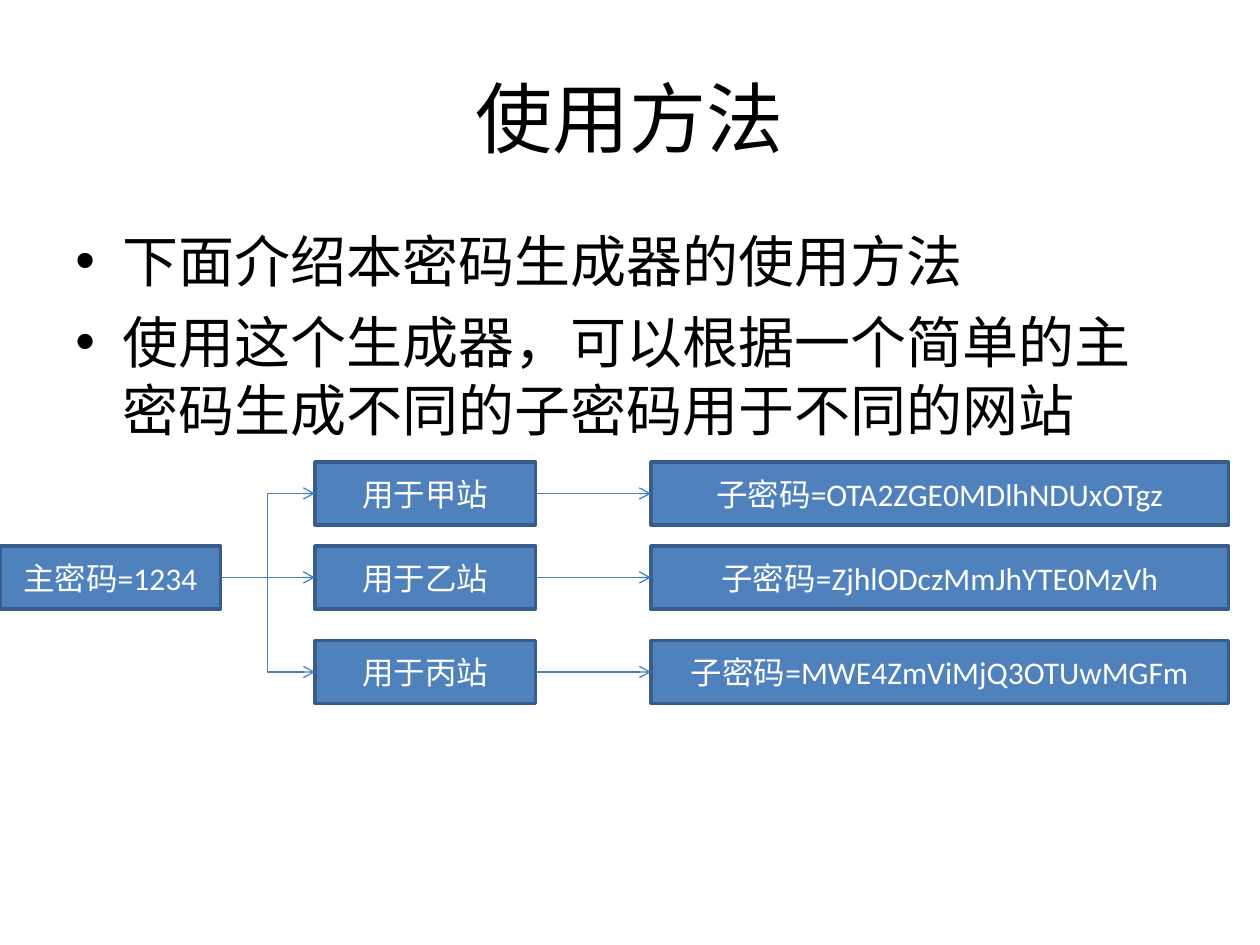
from lxml.etree import SubElement
from pptx import Presentation
from pptx.dml.color import RGBColor
from pptx.enum.shapes import MSO_CONNECTOR, MSO_SHAPE
from pptx.enum.text import MSO_ANCHOR, PP_ALIGN
from pptx.oxml.ns import qn
from pptx.util import Pt

PX = 7620  # EMU per px, 120 px to the inch
SLIDE_WIDTH, SLIDE_HEIGHT = 1200, 900
BLACK = RGBColor(0x00, 0x00, 0x00)
WHITE = RGBColor(0xFF, 0xFF, 0xFF)
BOX_FILL = RGBColor(0x4F, 0x81, 0xBD)
BOX_LINE = RGBColor(0x38, 0x5D, 0x8A)
ARROW = RGBColor(0x4A, 0x7E, 0xBB)
FONT = "Calibri"

TITLE = "使用方法"
POINTS = [
    "下面介绍本密码生成器的使用方法",
    "使用这个生成器，可以根据一个简单的主密码生成不同的子密码用于不同的网站",
]
MASTER = "主密码=1234"
SITES = [
    (0, "用于甲站", "子密码=OTA2ZGE0MDlhNDUxOTgz"),
    (80, "用于乙站", "子密码=ZjhlODczMmJhYTE0MzVh"),
    (170, "用于丙站", "子密码=MWE4ZmViMjQ3OTUwMGFm"),
]
MASTER_ROW = 1


def emu(*lengths):
    return [length * PX for length in lengths]


def write(frame, lines, size, color=BLACK, align=PP_ALIGN.LEFT,
          anchor=MSO_ANCHOR.TOP, bullet=None, indent=0, gap=0):
    """Fill a text frame with one paragraph per line; gap is in points."""
    frame.word_wrap = True
    frame.vertical_anchor = anchor
    for index, line in enumerate(lines):
        paragraph = frame.add_paragraph() if index else frame.paragraphs[0]
        paragraph.alignment = align
        if index:
            paragraph.space_before = Pt(gap)
        if bullet:
            properties = paragraph._p.get_or_add_pPr()
            properties.set("marL", str(indent * PX))
            properties.set("indent", str(-indent * PX))
            SubElement(properties, qn("a:buFont"), typeface="Arial")
            SubElement(properties, qn("a:buChar"), char=bullet)
        run = paragraph.add_run()
        run.text = line
        run.font.size = Pt(size)
        run.font.name = FONT
        run.font.color.rgb = color


def add_text(slide, box, lines, **style):
    write(slide.shapes.add_textbox(*emu(*box)).text_frame, lines, **style)


def add_node(slide, box, label):
    node = slide.shapes.add_shape(MSO_SHAPE.RECTANGLE, *emu(*box))
    node.shadow.inherit = False
    node.fill.solid()
    node.fill.fore_color.rgb = BOX_FILL
    node.line.color.rgb = BOX_LINE
    node.line.width = Pt(2)
    write(node.text_frame, [label], size=18, color=WHITE,
          align=PP_ALIGN.CENTER, anchor=MSO_ANCHOR.MIDDLE)
    return node


def link(slide, source, target):
    """Join the right side of source to the left side of target."""
    level = source.top == target.top
    kind = MSO_CONNECTOR.STRAIGHT if level else MSO_CONNECTOR.ELBOW
    arrow = slide.shapes.add_connector(kind, 0, 0, 0, 0)
    arrow.begin_connect(source, 3)
    arrow.end_connect(target, 1)
    arrow.line.color.rgb = ARROW
    arrow.line.width = Pt(0.75)
    SubElement(arrow.line._get_or_add_ln(), qn("a:tailEnd"), type="arrow")
    SubElement(arrow._element.spPr, qn("a:effectLst"))


def add_password_flow(slide, left, top):
    """Draw master password, sites and derived passwords from left to right."""
    height, narrow, wide = 60, 210, 550
    site_left, derived_left = left + 300, left + 620
    master_top = top + SITES[MASTER_ROW][0]
    master = add_node(slide, (left, master_top, narrow, height), MASTER)
    for offset, site_label, derived_label in SITES:
        row = top + offset
        site = add_node(slide, (site_left, row, narrow, height), site_label)
        derived = add_node(slide, (derived_left, row, wide, height), derived_label)
        link(slide, master, site)
        link(slide, site, derived)


def main():
    deck = Presentation()
    deck.slide_width, deck.slide_height = emu(SLIDE_WIDTH, SLIDE_HEIGHT)
    slide = deck.slides.add_slide(deck.slide_layouts[6])
    add_text(slide, (60, 36, 1080, 150), [TITLE], size=44,
             align=PP_ALIGN.CENTER, anchor=MSO_ANCHOR.MIDDLE)
    add_text(slide, (60, 210, 1080, 594), POINTS, size=32,
             bullet="•", indent=45, gap=8)
    add_password_flow(slide, 0, 440)
    deck.save("out.pptx")


if __name__ == "__main__":
    main()
